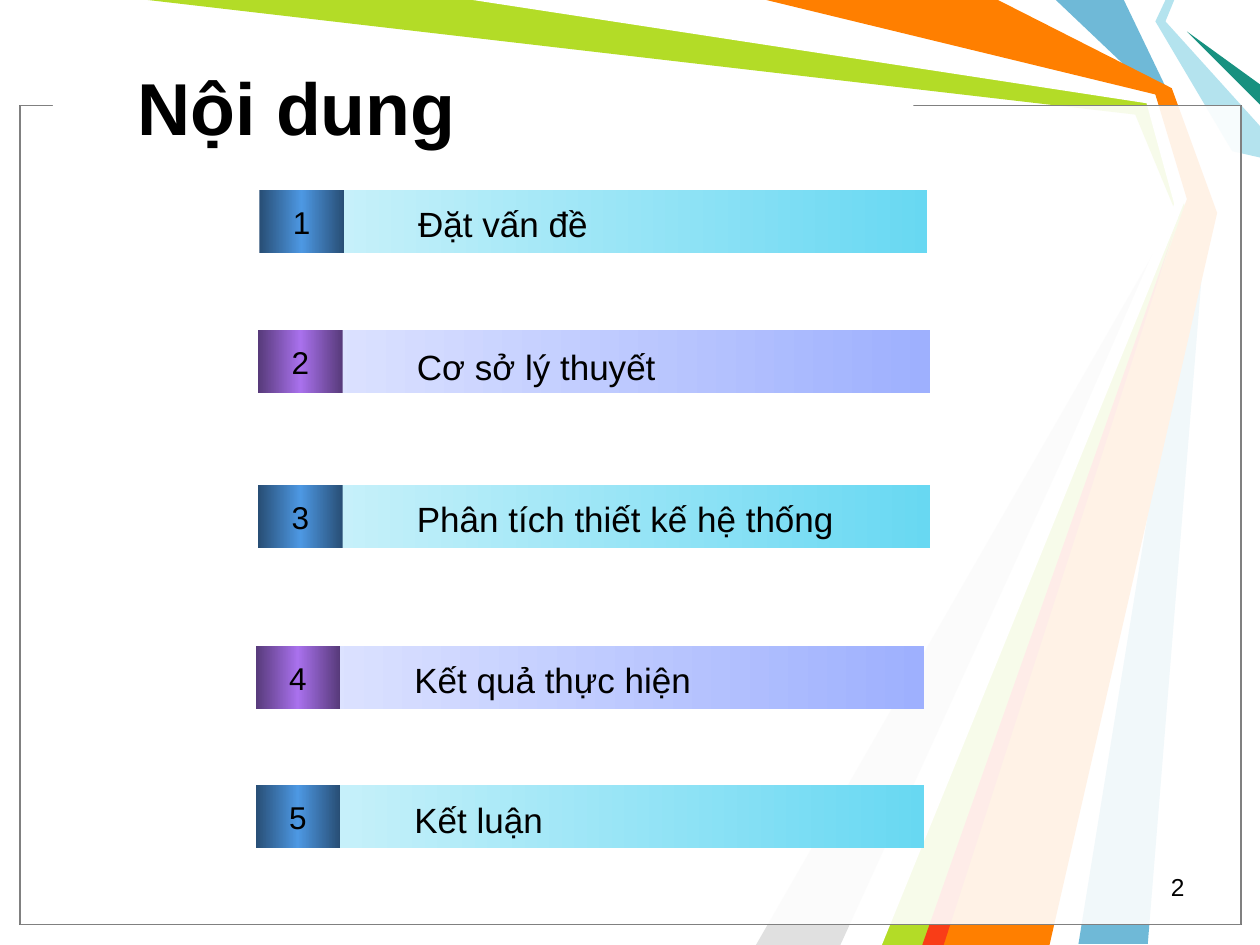
from pptx import Presentation
from pptx.dml.color import RGBColor
from pptx.enum.shapes import MSO_SHAPE
from pptx.enum.text import MSO_ANCHOR as Anchor, PP_ALIGN as Align
from pptx.oxml import parse_xml
from pptx.oxml.ns import nsdecls
from pptx.util import Inches, Pt

COLORS = {
    "black": "000000", "white": "FFFFFF", "gray": "808080", "silver": "E0E0E0",
    "blue": "6FB9D7", "green": "B3DC27", "pale": "B4E3EE", "teal": "189180",
    "orange": "FF7F00", "red": "F93D17",
}
THEMES = [
    {"badge": ["284E75", "4D98E3", "284E75"], "bar": ["C8F1FA", "68D8F2"]},
    {"badge": ["573A7A", "A971ED", "573A7A"], "bar": ["DCE2FF", "9EB0FE"]},
]
RIBBONS = [
    ("blue", [(8.92, 0), (9.29, 0.77), (9.58, 1.67), (9.11, 7.49), (8.56, 7.49),
              (9.5, 1.67), (9.17, 0.75), (8.38, 0)]),
    ("green", [(1.17, 0), (3.83, 0), (9.14, 0.78), (9.42, 1.69), (7.42, 7.5),
               (6.92, 7.5), (9.35, 1.73), (9.01, 0.91)]),
    ("silver", [(6.67, 7.5), (9.27, 1.81), (6, 7.5)]),
    ("white", [(3.75, 0), (9.1, 0.82), (9.32, 1.62), (6.75, 7.5), (7, 7.5),
               (9.41, 1.58), (9.17, 0.75), (6, 0)]),
    ("pale", [(9.25, 0), (9.17, 0.17), (9.78, 1.2), (10, 1.25), (10, 1),
              (9.25, 0.17), (9.32, 0)]),
    ("teal", [(10, 0.83), (9.42, 0.25), (10, 0.67)]),
    ("orange", [(6.08, 0), (7.92, 0), (9.3, 0.7), (9.66, 1.69), (8.33, 7.5),
                (7.33, 7.5), (9.42, 1.58), (9.17, 0.75)]),
    ("red", [(7.32, 7.5), (9.32, 1.83), (7.49, 7.5)]),
]
AGENDA = [
    ("Đặt vấn đề", 2.06, 1.51, 7.36, 0.05),
    ("Cơ sở lý thuyết", 2.05, 2.62, 7.38, 0.07),
    ("Phân tích thiết kế hệ thống", 2.05, 3.85, 7.38, 0.05),
    ("Kết quả thực hiện", 2.03, 5.13, 7.33, 0.05),
    ("Kết luận", 2.03, 6.23, 7.33, 0.06),
]


def color(name):
    """Return the named colour."""
    return RGBColor.from_string(COLORS[name])


def paint(shape, fill):
    """Give a shape a plain fill without line or shadow."""
    shape.shadow.inherit = False
    shape.line.fill.background()
    shape.fill.solid()
    shape.fill.fore_color.rgb = color(fill)


def paint_gradient(shape, stops):
    """Give a shape an evenly spaced left-to-right gradient."""
    paint(shape, "white")
    step = 100000 // (len(stops) - 1)
    marks = "".join(f'<a:gs pos="{i * step}"><a:srgbClr val="{stop}"/></a:gs>'
                    for i, stop in enumerate(stops))
    gradient = parse_xml(f'<a:gradFill {nsdecls("a")} rotWithShape="1"><a:gsLst>{marks}'
                         '</a:gsLst><a:lin ang="0" scaled="1"/></a:gradFill>')
    properties = shape._element.spPr
    properties.replace(properties.find("{*}solidFill"), gradient)


def add_rectangle(slide, left, top, width, height):
    """Add a rectangle measured in inches."""
    return slide.shapes.add_shape(MSO_SHAPE.RECTANGLE, Inches(left), Inches(top),
                                  Inches(width), Inches(height))


def write(shape, text, size, align=Align.LEFT, bold=False):
    """Write one black line of Arial into a shape."""
    shape.text_frame.text = text
    paragraph = shape.text_frame.paragraphs[0]
    paragraph.alignment = align
    font = paragraph.runs[0].font
    font.name, font.size, font.bold = "Arial", Pt(size), bold
    font.color.rgb = color("black")


def add_text(slide, text, left, top, width, height, size, align=Align.LEFT):
    """Add a wrapping text box measured in inches."""
    box = slide.shapes.add_textbox(Inches(left), Inches(top), Inches(width), Inches(height))
    box.text_frame.word_wrap = True
    write(box, text, size, align)


def add_ribbons(slide):
    """Draw the coloured ribbons of the background."""
    for fill, points in RIBBONS:
        start, *rest = [(Inches(x), Inches(y)) for x, y in points]
        builder = slide.shapes.build_freeform(*start)
        builder.add_line_segments(rest, close=True)
        paint(builder.convert_to_shape(), fill)


def add_frame(slide, left, top, width, height):
    """Add the translucent content frame with a gap for the title."""
    for line in ("black", "gray"):
        panel = add_rectangle(slide, left, top, width, height)
        paint(panel, "white")
        panel.line.color.rgb = color(line)
        panel.line.width = Pt(0.75)
        white = panel._element.spPr.find("{*}solidFill")[0]
        white.append(parse_xml(f'<a:alpha {nsdecls("a")} val="69000"/>'))
    paint(add_rectangle(slide, left + 0.26, top - 0.1, 6.83, 0.17), "white")


def add_title(slide, text, left, top, width, height):
    """Place the title in front of the background."""
    title = slide.shapes.title
    title.left, title.top = Inches(left), Inches(top)
    title.width, title.height = Inches(width), Inches(height)
    title.text_frame.vertical_anchor = Anchor.MIDDLE
    write(title, text, 42, bold=True)
    slide.shapes._spTree.append(title._element)


def add_agenda_row(slide, number, text, left, top, right, text_drop):
    """Add a numbered badge with its bar and label."""
    theme = THEMES[(number - 1) % 2]
    bar_left = left + 0.55
    bar = add_rectangle(slide, bar_left, top, right - bar_left, 0.5)
    paint_gradient(bar, theme["bar"])
    badge = add_rectangle(slide, left, top, 0.67, 0.5)
    paint_gradient(badge, theme["badge"])
    badge.text_frame.word_wrap = False
    badge.text_frame.vertical_anchor = Anchor.MIDDLE
    write(badge, str(number), 18, Align.CENTER)
    add_text(slide, text, left + 1.16, top + text_drop, 4.42, 0.44, 20)


def main():
    """Build and save the agenda slide."""
    presentation = Presentation()
    presentation.slide_width, presentation.slide_height = Inches(10), Inches(7.5)
    slide = presentation.slides.add_slide(presentation.slide_layouts[5])
    add_ribbons(slide)
    add_frame(slide, 0.16, 0.84, 9.69, 6.5)
    add_title(slide, "Nội dung", 0.99, 0.22, 6.89, 1.25)
    for number, row in enumerate(AGENDA, 1):
        add_agenda_row(slide, number, *row)
    add_text(slide, "2", 7.17, 6.87, 2.33, 0.33, 14, Align.RIGHT)
    presentation.save("out.pptx")


if __name__ == "__main__":
    main()
